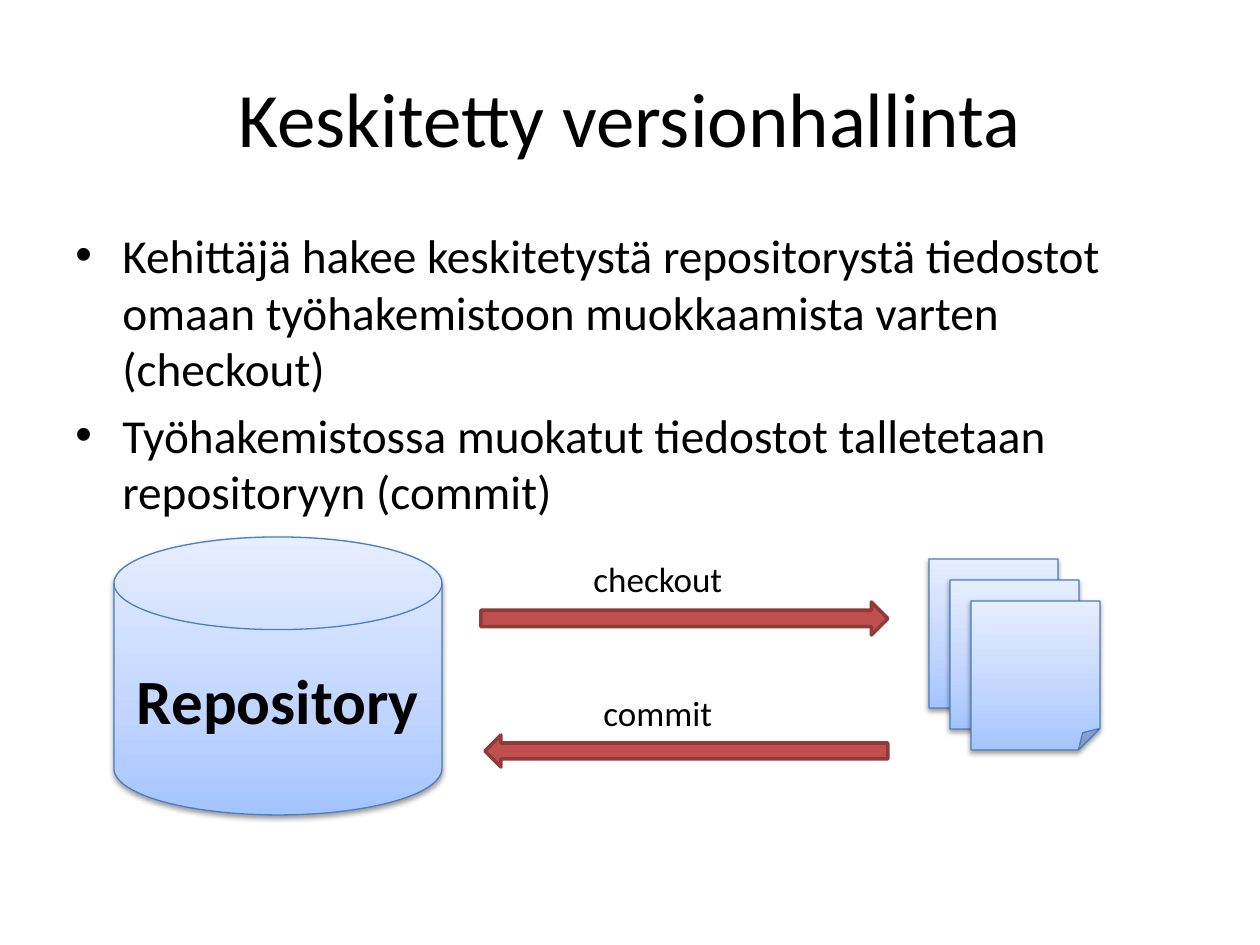
from copy import deepcopy

from lxml import etree
from pptx import Presentation
from pptx import util as u
from pptx.dml.color import RGBColor
from pptx.enum import shapes, text
from pptx.oxml.ns import qn

PX = 914400 / 126
FONT = "Calibri"
COLORS = {
    "text": "000000",
    "arrow": "C0504D",
    "arrow_edge": "8E3B39",
    "blue_edge": "4B7EBC",
}
BLUE_STOPS = [(0, "A4C4FF"), (0.35, "BFD4FF"), (1, "E6EEFF")]


def px(*lengths):
    return [u.Emu(round(n * PX)) for n in lengths]


def rgb(name):
    return RGBColor.from_string(COLORS[name])


def write(frame, *paragraphs, size, bold=False, align=text.PP_ALIGN.LEFT,
          anchor=text.MSO_ANCHOR.TOP, wrap=True, bulleted=False):
    frame.word_wrap = wrap
    frame.vertical_anchor = anchor
    for i, words in enumerate(paragraphs):
        para = frame.paragraphs[0] if i == 0 else frame.add_paragraph()
        para.alignment = align
        run = para.add_run()
        run.text = words
        run.font.name = FONT
        run.font.size = u.Pt(size)
        run.font.bold = bold
        run.font.color.rgb = rgb("text")
        if bulleted:
            para.space_before = u.Pt(size * 0.2)
            add_bullet(para, 47)


def add_bullet(para, indent):
    props = para._p.get_or_add_pPr()
    hang = px(indent)[0]
    props.set("marL", str(hang))
    props.set("indent", str(-hang))
    etree.SubElement(props, qn("a:buFont"), typeface="Arial")
    etree.SubElement(props, qn("a:buChar"), char="•")


def add_text(slide, box, *paragraphs, **style):
    frame = slide.shapes.add_textbox(*px(*box)).text_frame
    write(frame, *paragraphs, **style)
    return frame


def add_outlined(slide, kind, box, edge, width):
    shape = slide.shapes.add_shape(kind, *px(*box))
    shape.line.color.rgb = rgb(edge)
    shape.line.width = u.Pt(width)
    shape.shadow.inherit = False
    return shape


def add_blue(slide, kind, box):
    """Shape with a vertical blue gradient and a soft shadow below."""
    shape = add_outlined(slide, kind, box, "blue_edge", 0.75)
    shape.fill.gradient()
    shape.fill.gradient_angle = 90
    stop_list = shape._element.spPr.find(".//" + qn("a:gsLst"))
    stop_list.append(deepcopy(stop_list[0]))
    for stop, (position, color) in zip(shape.fill.gradient_stops, BLUE_STOPS):
        stop.position = position
        stop.color.rgb = RGBColor.from_string(color)

    effects = shape._element.spPr.find(qn("a:effectLst"))
    shadow = etree.SubElement(
        effects, qn("a:outerShdw"), blurRad=str(u.Pt(3.1)),
        dist=str(u.Pt(1.6)), dir="5400000", rotWithShape="0")
    black = etree.SubElement(shadow, qn("a:srgbClr"), val="000000")
    etree.SubElement(black, qn("a:alpha"), val="38000")
    return shape


def add_arrow(slide, kind, box):
    arrow = add_outlined(slide, kind, box, "arrow_edge", 2)
    arrow.fill.solid()
    arrow.fill.fore_color.rgb = rgb("arrow")


def main():
    prs = Presentation()
    prs.slide_width, prs.slide_height = px(1260, 945)
    slide = prs.slides.add_slide(prs.slide_layouts[5])
    centre, middle = text.PP_ALIGN.CENTER, text.MSO_ANCHOR.MIDDLE
    kinds = shapes.MSO_SHAPE

    # Title and bullets
    title = slide.shapes.title
    title.left, title.top, title.width, title.height = px(63, 38, 1134, 158)
    write(title.text_frame, "Keskitetty versionhallinta",
          size=44, align=centre, anchor=middle)
    add_text(slide, (63, 220, 1143, 272),
             "Kehittäjä hakee keskitetystä repositorystä tiedostot omaan "
             "työhakemistoon muokkaamista varten (checkout)",
             "Työhakemistossa muokatut tiedostot talletetaan repositoryyn "
             "(commit)",
             size=27, bulleted=True)

    # Repository
    repository = add_blue(slide, kinds.FLOWCHART_MAGNETIC_DISK,
                          (114, 537, 328, 278))
    write(repository.text_frame, "Repository", size=36, bold=True,
          align=centre, anchor=middle)

    # Stack of working files
    for step in range(3):
        add_blue(slide, kinds.FOLDED_CORNER,
                 (929 + 21 * step, 559 + 21 * step, 129, 149))

    # Transfers in both directions
    add_arrow(slide, kinds.RIGHT_ARROW, (481, 602, 407, 33))
    add_arrow(slide, kinds.LEFT_ARROW, (485, 735, 403, 32))
    for label, box in (("checkout", (581, 551, 156, 55)),
                       ("commit", (591, 685, 135, 55))):
        frame = add_text(slide, box, label, size=20, wrap=False)
        frame.auto_size = text.MSO_AUTO_SIZE.SHAPE_TO_FIT_TEXT

    prs.save("out.pptx")


if __name__ == "__main__":
    main()
